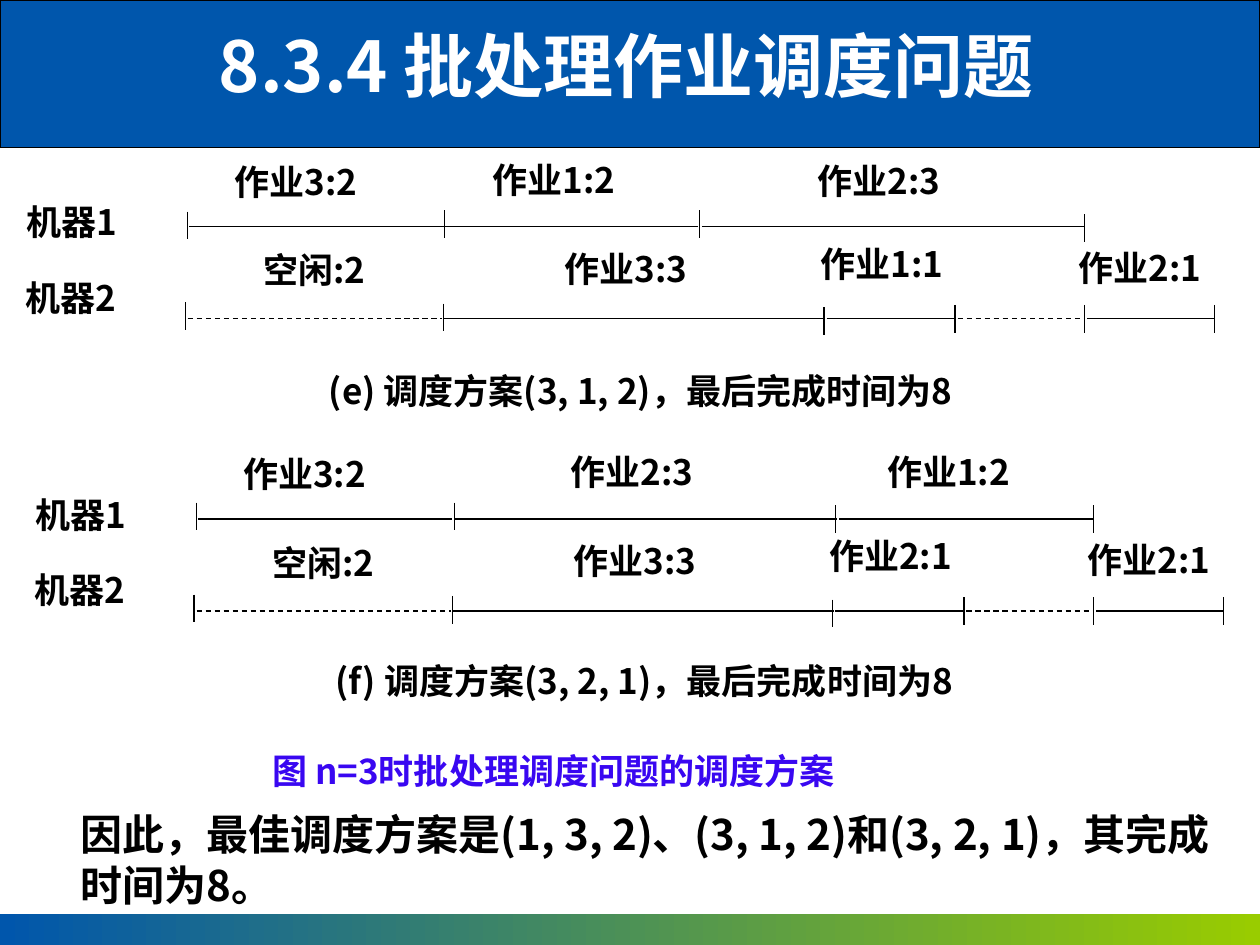
"""Build the slide on batch job scheduling with two machine timelines."""
import pptx
import pptx.dml.color
import pptx.enum.dml
import pptx.enum.shapes
import pptx.enum.text
import pptx.oxml.ns
import pptx.util
from lxml import etree

PX = 9144
THEME = {
    "font": "Noto Sans CJK SC",
    "blue": pptx.dml.color.RGBColor.from_string("0056AC"),
    "green": pptx.dml.color.RGBColor.from_string("99CC00"),
    "violet": pptx.dml.color.RGBColor.from_string("3907F1"),
    "black": pptx.dml.color.RGBColor.from_string("000000"),
    "white": pptx.dml.color.RGBColor.from_string("FFFFFF"),
    "title": pptx.util.Pt(40),
    "body": pptx.util.Pt(24),
    "label": pptx.util.Pt(20),
    "rule": pptx.util.Pt(0.75),
}
ALIGN = pptx.enum.text.PP_ALIGN

deck = pptx.Presentation()
deck.slide_width, deck.slide_height = 1000 * PX, 750 * PX
slide = deck.slides.add_slide(deck.slide_layouts[6])


def add_text(text, left, top, width, height, size="label", color="black", align=ALIGN.JUSTIFY):
    box = slide.shapes.add_textbox(left * PX, top * PX, width * PX, height * PX)
    frame = box.text_frame
    frame.word_wrap = True
    paragraph = frame.paragraphs[0]
    paragraph.text = text
    paragraph.alignment = align
    if size == "label":
        frame.margin_left = frame.margin_right = frame.margin_top = frame.margin_bottom = 0
        paragraph.line_spacing = 0.8
    paragraph.font.size = THEME[size]
    paragraph.font.bold = True
    paragraph.font.color.rgb = THEME[color]
    paragraph.font.name = THEME["font"]
    defaults = paragraph._p.pPr.find(pptx.oxml.ns.qn("a:defRPr"))
    etree.SubElement(defaults, pptx.oxml.ns.qn("a:ea")).set("typeface", THEME["font"])
    return frame


def add_rule(x1, y1, x2, y2, dashed=False):
    rule = slide.shapes.add_connector(
        pptx.enum.shapes.MSO_CONNECTOR.STRAIGHT, x1 * PX, y1 * PX, x2 * PX, y2 * PX)
    rule.line.color.rgb = THEME["black"]
    rule.line.width = THEME["rule"]
    if dashed:
        rule.line.dash_style = pptx.enum.dml.MSO_LINE.DASH
    etree.SubElement(rule._element.spPr, pptx.oxml.ns.qn("a:effectLst"))


banner = slide.shapes.add_shape(pptx.enum.shapes.MSO_SHAPE.RECTANGLE, 0, 0, 1000 * PX, 117 * PX)
banner.shadow.inherit = False
banner.fill.solid()
banner.fill.fore_color.rgb = THEME["blue"]
banner.line.color.rgb = THEME["black"]
banner.line.width = THEME["rule"]

footer = slide.shapes.add_shape(
    pptx.enum.shapes.MSO_SHAPE.RECTANGLE, 0, 725 * PX, 1000 * PX, 25 * PX)
footer.shadow.inherit = False
footer.fill.gradient()
footer.fill.gradient_angle = 0
for stop, position, color in zip(footer.fill.gradient_stops, (0, 1), ("blue", "green")):
    stop.position = position
    stop.color.rgb = THEME[color]
footer.line.fill.background()

TICK = 22
machine2_ticks = [(147, 240), (352, 241), (654, 244), (758, 242), (861, 242), (964, 242)]
machine2_spans = [(149, 351, True), (352, 655, False), (656, 757, False),
                  (760, 861, True), (863, 964, False)]
shared_labels = [
    ("机器1", 21, 166, 98), ("机器2", 20, 226, 98), ("作业3:2", 186, 134, 134),
    ("空闲:2", 209, 204, 103), ("作业3:3", 448, 203, 128), ("作业2:1", 856, 202, 118),
]
schedules = [
    {
        "offset": (0, 0),
        "ticks": [(149, 168), (353, 167), (555, 167), (861, 170)],
        "spans": [(150, 352), (352, 554), (557, 860)],
        "labels": [("作业1:2", 391, 132, 123), ("作业2:3", 649, 133, 116),
                   ("作业1:1", 651, 199, 118)],
        "caption": ("(e) 调度方案(3, 1, 2)，最后完成时间为8", 261, 300),
    },
    {
        "offset": (7, 232),
        "ticks": [(149, 167), (354, 167), (656, 169), (861, 169)],
        "spans": [(150, 352), (354, 657), (659, 861)],
        "labels": [("作业2:3", 446, 132, 116), ("作业1:2", 697, 132, 123),
                   ("作业2:1", 651, 199, 118)],
        "caption": ("(f) 调度方案(3, 2, 1)，最后完成时间为8", 266, 530),
    },
]
for schedule in schedules:
    dx, dy = schedule["offset"]
    for x, top in schedule["ticks"] + machine2_ticks:
        add_rule(x + dx, top + dy, x + dx, top + TICK + dy)
    for start, end in schedule["spans"]:
        add_rule(start + dx, 180 + dy, end + dx, 180 + dy)
    for start, end, idle in machine2_spans:
        add_rule(start + dx, 253 + dy, end + dx, 253 + dy, idle)
    for text, left, top, width in shared_labels + schedule["labels"]:
        add_text(text, left + dx, top + dy, width, 34)
    add_text(*schedule["caption"], 593, 35)

add_text("图 n=3时批处理调度问题的调度方案", 216, 601, 623, 35, color="violet")
add_text("因此，最佳调度方案是(1, 3, 2)、(3, 1, 2)和(3, 2, 1)，其完成时间为8。",
         54, 637, 926, 91, "body", align=ALIGN.LEFT)
title = add_text("8.3.4 批处理作业调度问题", 142, 13, 725, 77, "title", "white", ALIGN.CENTER)
title.vertical_anchor = pptx.enum.text.MSO_ANCHOR.MIDDLE
title.margin_right = 25 * PX

deck.save("out.pptx")
